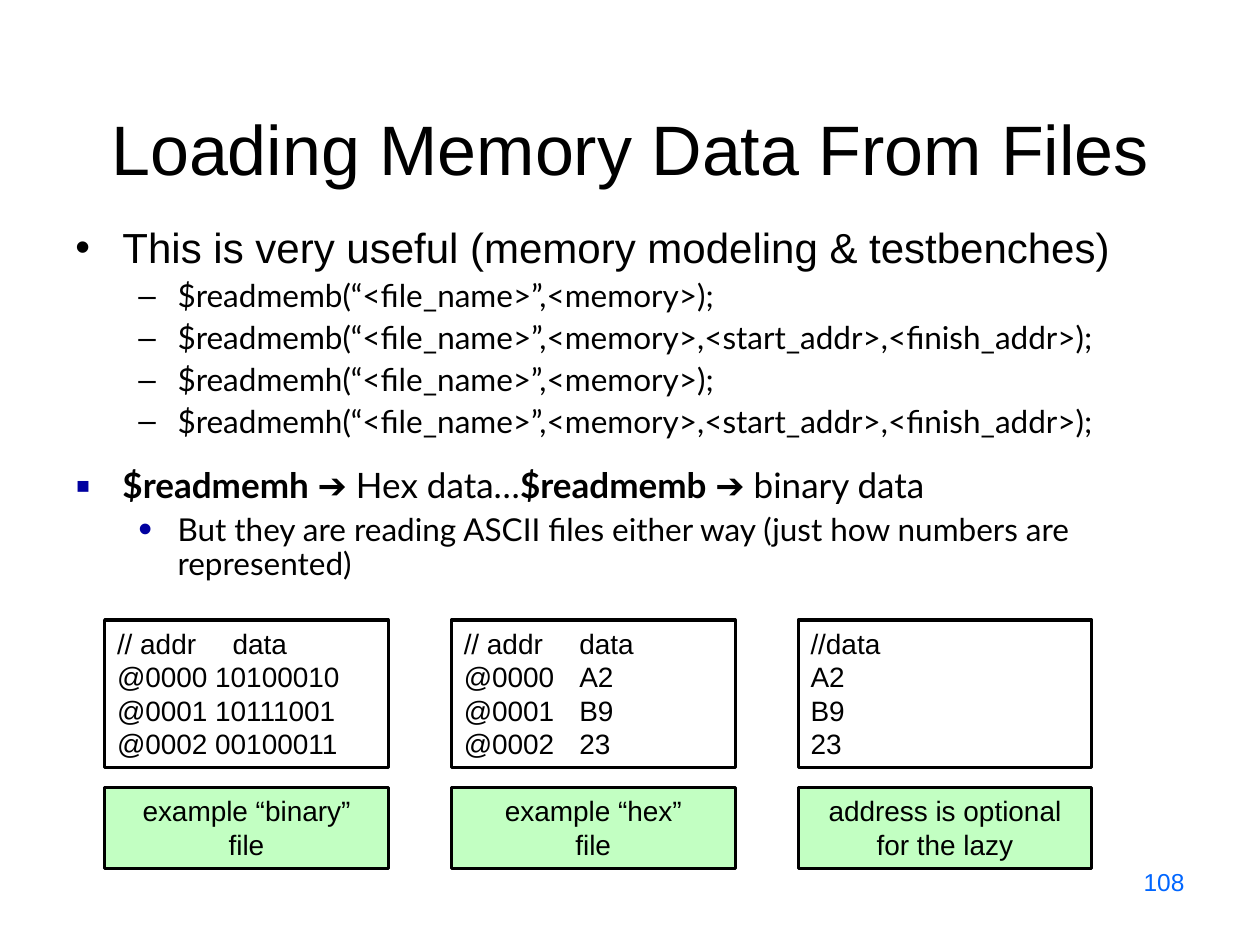
from dataclasses import dataclass

from lxml.etree import SubElement
from pptx import Presentation
from pptx.dml.color import RGBColor
from pptx.enum.shapes import MSO_SHAPE as Shape
from pptx.enum.text import MSO_ANCHOR as Anchor, PP_ALIGN as Align
from pptx.oxml.ns import qn
from pptx.util import Cm, Pt

COLORS = {"black": "000000", "navy": "0000A0", "blue": "0066FF", "green": "00FF00"}
LEFT, WIDTH = 1.27, 22.86


@dataclass
class Span:
    text: str
    font: str = "Lato"
    bold: bool = False


@dataclass
class Bullet:
    char: str
    color: str
    percent: int
    level: int
    before: float


@dataclass
class Example:
    left: float
    width: float
    lines: list[str]
    caption: list[str]


TOPIC = Bullet("•", "black", 100, 0, 6)
CALL = Bullet("–", "black", 100, 1, 4.5)
FORMAT = Bullet("▪", "navy", 125, 0, 5)
DETAIL = Bullet("•", "navy", 125, 1, 4.5)

CALLS = [
    f"{task}(“<file_name>”,<memory>{extra});"
    for task in ("$readmemb", "$readmemh")
    for extra in ("", ",<start_addr>,<finish_addr>")
]
ARROW = Span("➔", "Arial")
FORMATS = [
    Span("$readmemh ", bold=True), ARROW, Span(" Hex data…"),
    Span("$readmemb ", bold=True), ARROW, Span(" binary data"),
]
EXAMPLES = [
    Example(2.11, 5.72,
            ["// addr\tdata", "@0000 10100010", "@0001 10111001", "@0002 00100011"],
            ["example “binary”", "file"]),
    Example(9.1, 5.72,
            ["// addr\tdata", "@0000\tA2", "@0001\tB9", "@0002\t23"],
            ["example “hex”", "file"]),
    Example(16.09, 5.92, ["//data", "A2", "B9", "23"],
            ["address is optional for the lazy"]),
]


def rgb(name: str) -> RGBColor:
    return RGBColor.from_string(COLORS[name])


def add_bullet(para, bullet: Bullet) -> None:
    props = para._p.get_or_add_pPr()
    margin, hanging = ((0.95, 0.95), (2.06, 0.79))[bullet.level]
    props.set("marL", str(Cm(margin)))
    props.set("indent", str(-Cm(hanging)))
    color = SubElement(props, qn("a:buClr"))
    SubElement(color, qn("a:srgbClr"), val=COLORS[bullet.color])
    SubElement(props, qn("a:buSzPct"), val=str(bullet.percent * 1000))
    SubElement(props, qn("a:buFont"), typeface="Arial")
    SubElement(props, qn("a:buChar"), char=bullet.char)


def add_tab(para, position: float) -> None:
    tabs = SubElement(para._p.get_or_add_pPr(), qn("a:tabLst"))
    SubElement(tabs, qn("a:tab"), pos=str(Cm(position)), algn="l")


def write(frame, content: str | list[Span], *, size: float, color: str = "black",
          align=Align.LEFT, bullet: Bullet | None = None, tab: float = 0) -> None:
    """Fill the frame's empty first paragraph, or add another one."""
    first = not frame.paragraphs[0].runs
    para = frame.paragraphs[0] if first else frame.add_paragraph()
    para.alignment = align
    if bullet:
        para.level = bullet.level
        para.line_spacing = 0.9
        para.space_before = Pt(0 if first else bullet.before)
        add_bullet(para, bullet)
    if tab:
        add_tab(para, tab)
    spans = [Span(content, "Arial")] if isinstance(content, str) else content
    for part in spans:
        span = para.add_run()
        span.text = part.text
        span.font.name = part.font
        span.font.size = Pt(size)
        span.font.bold = part.bold
        span.font.color.rgb = rgb(color)


def add_text_box(page, left: float, top: float, width: float, height: float):
    frame = page.shapes.add_textbox(Cm(left), Cm(top), Cm(width), Cm(height)).text_frame
    frame.word_wrap = True
    return frame


def add_panel(page, left: float, top: float, width: float, height: float,
              lines: list[str], *, align=Align.LEFT, tab: float = 0,
              filled: bool = False) -> None:
    box = page.shapes.add_shape(Shape.RECTANGLE, Cm(left), Cm(top), Cm(width), Cm(height))
    box.shadow.inherit = False
    box.line.color.rgb = rgb("black")
    box.line.width = Pt(1.75)
    if filled:
        box.fill.solid()
        box.fill.fore_color.rgb = rgb("green")
        tint = box.fill._xPr.find(qn("a:solidFill")).find(qn("a:srgbClr"))
        SubElement(tint, qn("a:alpha"), val="24000")
    else:
        box.fill.background()
    frame = box.text_frame
    frame.word_wrap = True
    frame.vertical_anchor = Anchor.TOP
    for line in lines:
        write(frame, line, size=16, align=align, tab=tab if "\t" in line else 0)


def main() -> None:
    deck = Presentation()
    deck.slide_width, deck.slide_height = Cm(25.4), Cm(19.05)
    page = deck.slides.add_slide(deck.slide_layouts[5])

    # Title
    title = page.shapes.title
    title.left, title.top = Cm(LEFT), Cm(0.76)
    title.width, title.height = Cm(WIDTH), Cm(3.18)
    title.text_frame.vertical_anchor = Anchor.BOTTOM
    write(title.text_frame, "Loading Memory Data From Files", size=40, align=Align.CENTER)

    # System task calls
    body = add_text_box(page, LEFT, 4.45, WIDTH, 5.08)
    write(body, "This is very useful (memory modeling & testbenches)", size=24, bullet=TOPIC)
    for call in CALLS:
        write(body, [Span(call)], size=18, bullet=CALL)

    # Data formats
    formats = add_text_box(page, LEFT, 9.32, WIDTH, 2.74)
    write(formats, FORMATS, size=20, bullet=FORMAT)
    detail = "But they are reading ASCII files either way (just how numbers are represented)"
    write(formats, [Span(detail)], size=18, bullet=DETAIL)

    # Example files with captions
    for example in EXAMPLES:
        add_panel(page, example.left, 12.5, example.width, 2.97, example.lines, tab=2.33)
        add_panel(page, example.left, 15.88, example.width, 1.63, example.caption,
                  align=Align.CENTER, filled=True)

    # Page number
    number = add_text_box(page, 18.21, 17.35, 5.92, 1.32)
    write(number, "108", size=14, color="blue", align=Align.RIGHT)

    deck.save("out.pptx")


if __name__ == "__main__":
    main()
